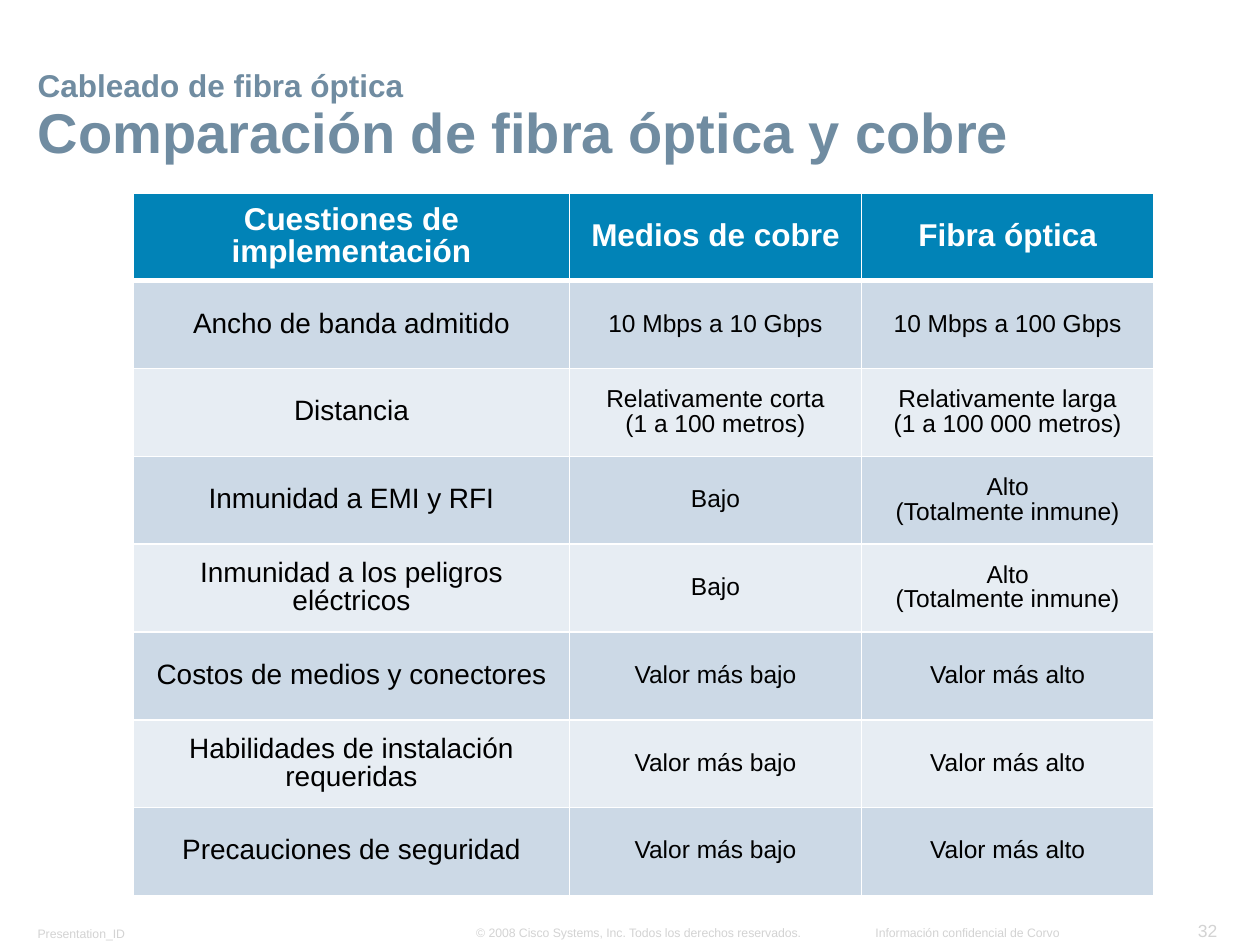
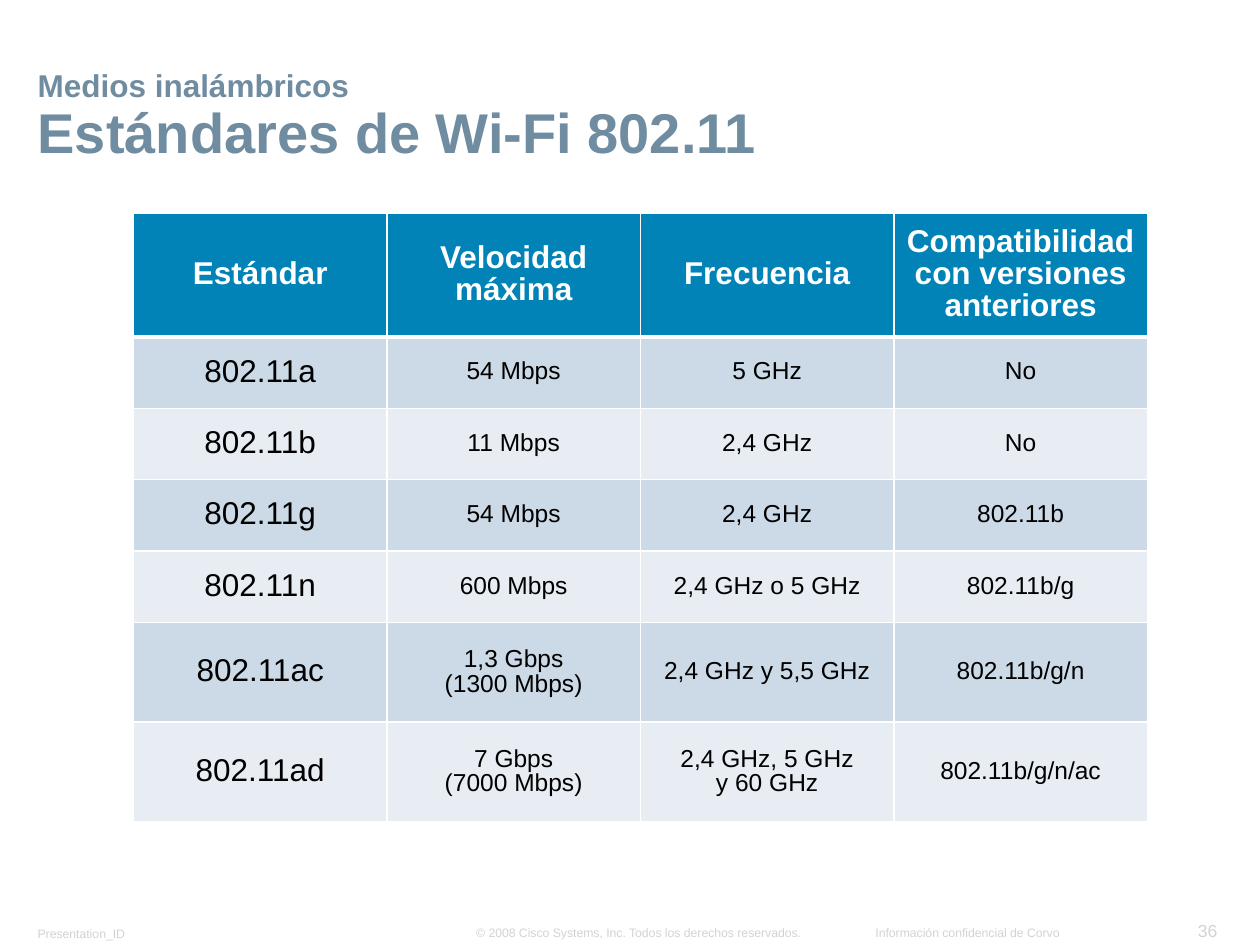
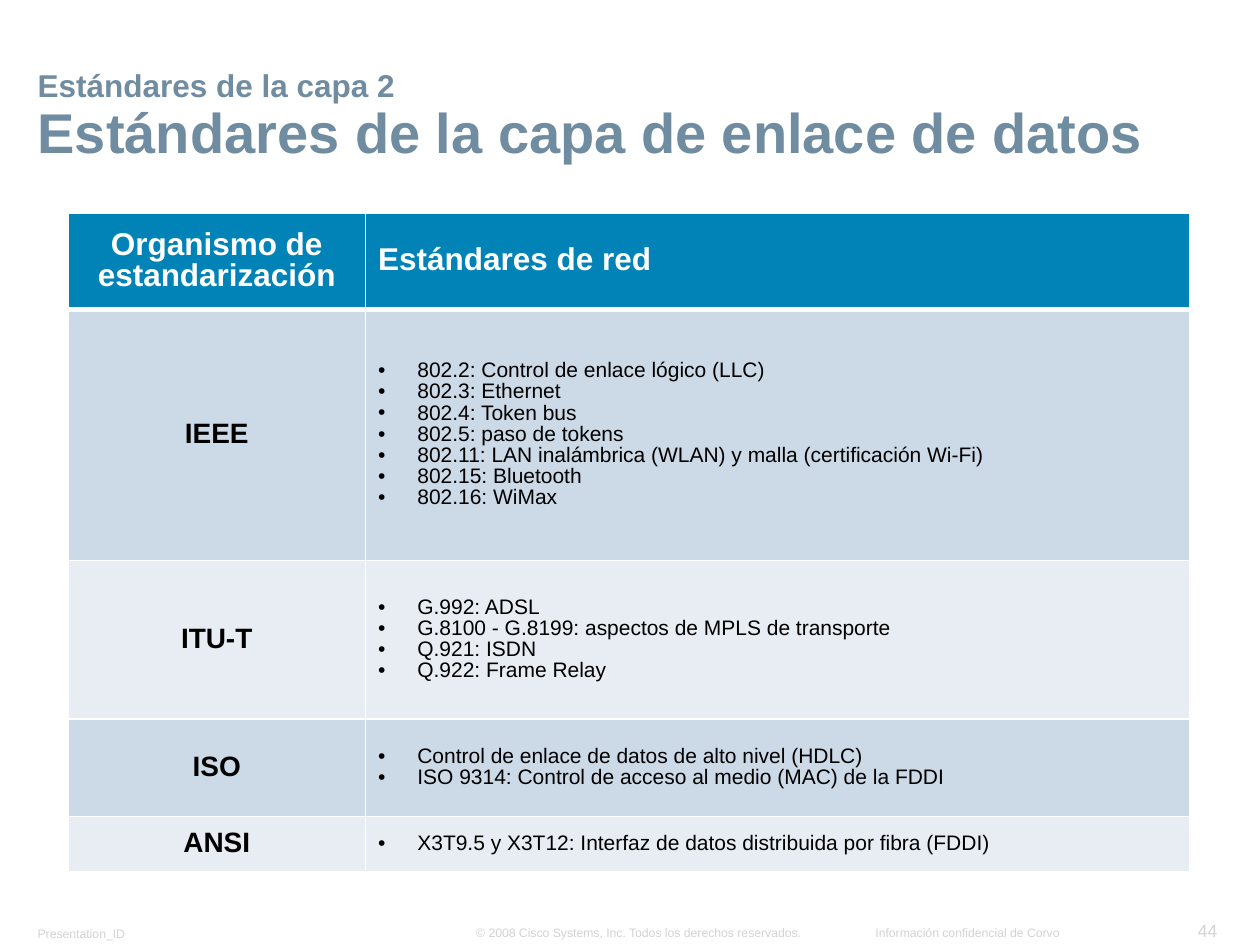
from lxml.etree import SubElement
from pptx import Presentation
from pptx.dml.color import RGBColor
from pptx.enum.text import MSO_ANCHOR, MSO_AUTO_SIZE, PP_ALIGN
from pptx.oxml.ns import qn
from pptx.util import Cm, Pt

# Shared style
FONT = "Arial"
SLATE = RGBColor(0x70, 0x8C, 0xA1)
BLUE = RGBColor(0x01, 0x83, 0xB7)
BANDS = RGBColor(0xCC, 0xD9, 0xE6), RGBColor(0xE7, 0xED, 0xF3)
GREY = RGBColor(0xD3, 0xD3, 0xD3)
WHITE = RGBColor(0xFF, 0xFF, 0xFF)
BLACK = RGBColor(0, 0, 0)
LEFT, MID, RIGHT = PP_ALIGN.LEFT, PP_ALIGN.CENTER, PP_ALIGN.RIGHT
TIGHT = 0.9

# Footers: text, box in cm, size, alignment, wrap
FOOTERS = [
    ("Presentation_ID", (0.53, 18.54, 2.67, 0.53), 7, LEFT, True),
    ("{page}", (23.88, 18.42, 0.89, 0.66), 10, RIGHT, False),
    ("© 2008 Cisco Systems, Inc. Todos los derechos reservados.",
     (9.37, 18.52, 7.16, 0.53), 7, LEFT, False),
    ("Información confidencial de Corvo", (17.4, 18.52, 4.19, 0.53), 7, RIGHT, False),
]

# Slides: a line break in a cell starts a new paragraph; lengths in cm
SLIDES = [
    {
        "page": 32,
        "topic": "Cableado de fibra óptica",
        "title": "Comparación de fibra óptica y cobre",
        "spot": (2.69, 3.89),
        "cols": [8.79, 5.89, 5.89],
        "rows": [1.77] * 8,
        "key": (16, False),
        "cells": [
            ("Cuestiones de implementación", "Medios de cobre", "Fibra óptica"),
            ("Ancho de banda admitido", "10 Mbps a 10 Gbps", "10 Mbps a 100 Gbps"),
            ("Distancia", "Relativamente corta\n(1 a 100 metros)",
             "Relativamente larga\n(1 a 100 000 metros)"),
            ("Inmunidad a EMI y RFI", "Bajo", "Alto\n(Totalmente inmune)"),
            ("Inmunidad a los peligros eléctricos", "Bajo", "Alto\n(Totalmente inmune)"),
            ("Costos de medios y conectores", "Valor más bajo", "Valor más alto"),
            ("Habilidades de instalación requeridas", "Valor más bajo", "Valor más alto"),
            ("Precauciones de seguridad", "Valor más bajo", "Valor más alto"),
        ],
    },
    {
        "page": 36,
        "topic": "Medios inalámbricos",
        "title": "Estándares de Wi-Fi 802.11",
        "spot": (2.69, 4.3),
        "cols": [5.11] * 4,
        "rows": [2.49] + [1.44] * 4 + [2.01] * 2,
        "key": (18, False),
        "cells": [
            ("Estándar", "Velocidad máxima", "Frecuencia",
             "Compatibilidad con versiones anteriores"),
            ("802.11a", "54 Mbps", "5 GHz", "No"),
            ("802.11b", "11 Mbps", "2,4 GHz", "No"),
            ("802.11g", "54 Mbps", "2,4 GHz", "802.11b"),
            ("802.11n", "600 Mbps", "2,4 GHz o 5 GHz", "802.11b/g"),
            ("802.11ac", "1,3 Gbps\n(1300 Mbps)", "2,4 GHz y 5,5 GHz", "802.11b/g/n"),
            ("802.11ad", "7 Gbps\n(7000 Mbps)", "2,4 GHz, 5 GHz\ny 60 GHz",
             "802.11b/g/n/ac"),
        ],
    },
    {
        "page": 44,
        "topic": "Estándares de la capa 2",
        "title": "Estándares de la capa de enlace de datos",
        "spot": (1.37, 4.3),
        "cols": [6, 16.61],
        "rows": [1.94, 5.06, 3.2, 1.96, 1.12],
        "key": (16, True),
        "list": True,
        "cells": [
            ("Organismo de estandarización", "Estándares de red"),
            ("IEEE", "802.2: Control de enlace lógico (LLC)\n"
                     "802.3: Ethernet\n"
                     "802.4: Token bus\n"
                     "802.5: paso de tokens\n"
                     "802.11: LAN inalámbrica (WLAN) y malla (certificación Wi-Fi)\n"
                     "802.15: Bluetooth\n"
                     "802.16: WiMax"),
            ("ITU-T", "G.992: ADSL\n"
                      "G.8100 - G.8199: aspectos de MPLS de transporte\n"
                      "Q.921: ISDN\n"
                      "Q.922: Frame Relay"),
            ("ISO", "Control de enlace de datos de alto nivel (HDLC)\n"
                    "ISO 9314: Control de acceso al medio (MAC) de la FDDI"),
            ("ANSI", "X3T9.5 y X3T12: Interfaz de datos distribuida por fibra (FDDI)"),
        ],
    },
]


def add_run(para, text, size, color, bold=False):
    run = para.add_run()
    run.text = text
    font = run.font
    font.name, font.size, font.bold = FONT, Pt(size), bold
    font.color.rgb = color


def set_frame(frame, wrap):
    frame.word_wrap = wrap
    frame.auto_size = MSO_AUTO_SIZE.NONE
    frame.vertical_anchor = MSO_ANCHOR.BOTTOM
    frame.margin_left = frame.margin_right = Cm(0.23)
    frame.margin_top = frame.margin_bottom = Cm(0.1)


def add_title(slide, topic, title):
    shape = slide.shapes.title
    shape.left, shape.top, shape.width, shape.height = map(Cm, (0.53, 1.09, 24.36, 2.34))
    set_frame(shape.text_frame, True)
    para = shape.text_frame.paragraphs[0]
    para.alignment, para.line_spacing = LEFT, TIGHT
    add_run(para, topic, 18, SLATE, True)
    para.add_line_break()
    add_run(para, title, 32, SLATE, True)


def add_footers(slide, page):
    for text, box, size, align, wrap in FOOTERS:
        frame = slide.shapes.add_textbox(*map(Cm, box)).text_frame
        set_frame(frame, wrap)
        para = frame.paragraphs[0]
        para.alignment = align
        add_run(para, text.format(page=page), size, GREY)


def set_edges(cell, row):
    widths = {"L": 1, "R": 1, "T": 3 if row == 1 else 1, "B": 3 if row == 0 else 1}
    props = cell._tc.get_or_add_tcPr()
    for side, width in widths.items():
        line = SubElement(props, qn(f"a:ln{side}"), w=str(Pt(width)))
        fill = SubElement(line, qn("a:solidFill"))
        SubElement(fill, qn("a:srgbClr"), val=str(WHITE))


def add_bullet(para):
    props = para._p.get_or_add_pPr()
    indent = Cm(0.79)
    props.set("marL", str(indent))
    props.set("indent", str(-indent))
    color = SubElement(props, qn("a:buClr"))
    SubElement(color, qn("a:srgbClr"), val=str(BLACK))
    SubElement(props, qn("a:buFont"), typeface=FONT)
    SubElement(props, qn("a:buChar"), char="•")


def fill_cell(cell, text, row, style, align, bullet):
    set_edges(cell, row)
    cell.fill.solid()
    cell.fill.fore_color.rgb = BANDS[(row - 1) % 2] if row else BLUE
    cell.vertical_anchor = MSO_ANCHOR.MIDDLE
    frame = cell.text_frame
    for i, line in enumerate(text.split("\n")):
        para = frame.add_paragraph() if i else frame.paragraphs[0]
        para.alignment, para.line_spacing = align, TIGHT
        if bullet:
            add_bullet(para)
        add_run(para, line, *style)


def add_grid(slide, data):
    cols, rows = data["cols"], data["rows"]
    box = (*data["spot"], sum(cols), sum(rows))
    table = slide.shapes.add_table(len(rows), len(cols), *map(Cm, box)).table
    for col, width in zip(table.columns, cols):
        col.width = Cm(width)
    for row, height in zip(table.rows, rows):
        row.height = Cm(height)

    size, bold = data["key"]
    for r, texts in enumerate(data["cells"]):
        for c, text in enumerate(texts):
            listed = c > 0 and data.get("list", False)
            if r == 0:
                style = 18, WHITE, True
            elif c == 0:
                style = size, BLACK, bold
            else:
                style = 12 if listed else 14, BLACK
            fill_cell(table.cell(r, c), text, r, style,
                      LEFT if listed else MID, listed and r > 0)


def main():
    deck = Presentation()
    deck.slide_width, deck.slide_height = Cm(25.4), Cm(19.05)
    for data in SLIDES:
        slide = deck.slides.add_slide(deck.slide_layouts[5])
        add_footers(slide, data["page"])
        add_title(slide, data["topic"], data["title"])
        add_grid(slide, data)
    deck.save("out.pptx")


if __name__ == "__main__":
    main()
